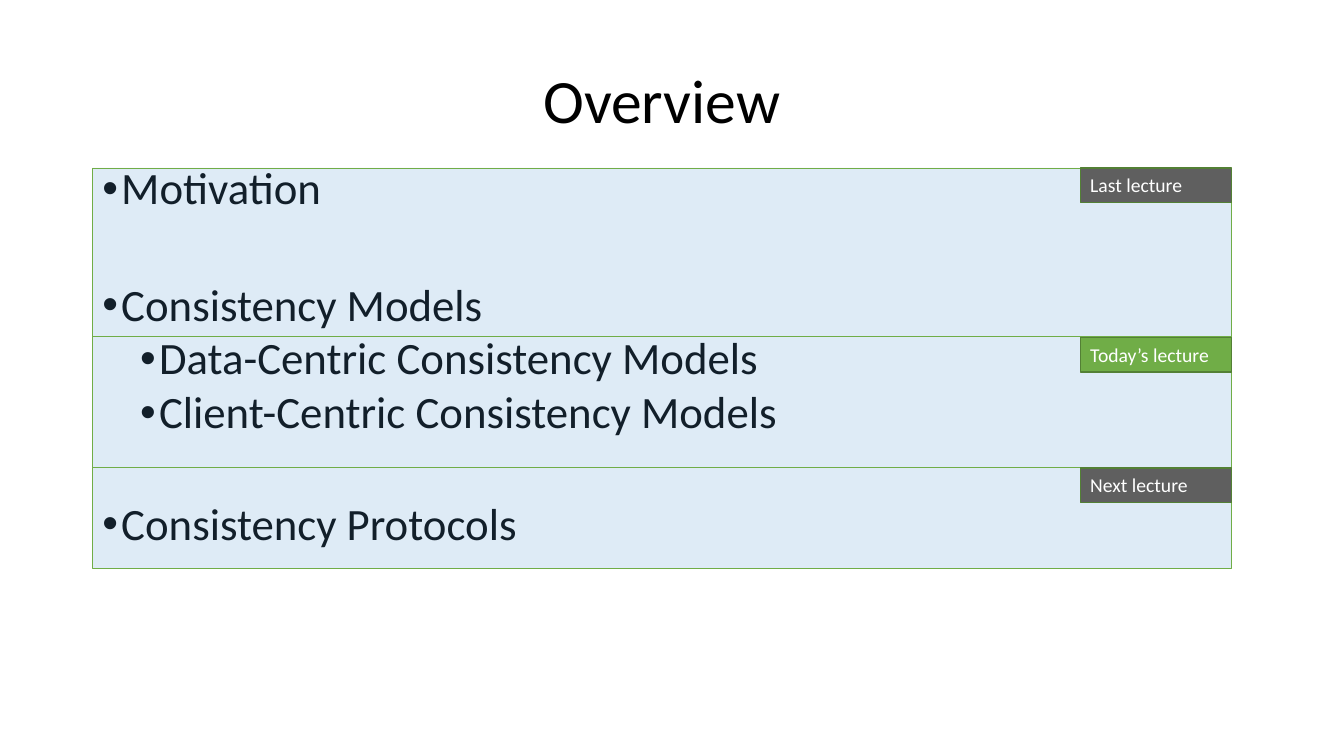
import pptx
import pptx.dml.color
import pptx.enum.shapes
import pptx.enum.text
import pptx.oxml
import pptx.oxml.ns
import pptx.util

RGB = pptx.dml.color.RGBColor
BLACK = RGB(0x00, 0x00, 0x00)
WHITE = RGB(0xFF, 0xFF, 0xFF)
BLUE = RGB(0x5B, 0x9B, 0xD5)
GREEN = RGB(0x70, 0xAD, 0x47)
DARK_GREEN = RGB(0x53, 0x80, 0x35)
GRAY = RGB(0x5F, 0x5F, 0x5F)

COLUMNS, ROWS = 160, 90
LEFT, WIDTH = 11, 135.6
TAG_LEFT, TAG_WIDTH, TAG_HEIGHT = 128.6, 18, 4.1
ALIGN = pptx.enum.text.PP_ALIGN
ANCHOR = pptx.enum.text.MSO_ANCHOR

TOPICS = [
    ("Motivation", 0, 7.5),
    ("Consistency Models", 0, 48.5),
    ("Data-Centric Consistency Models", 1, 3.8),
    ("Client-Centric Consistency Models", 1, 3.8),
    ("Consistency Protocols", 0, 45),
]
LECTURES = [
    ("Last lecture", 20, 20, 20, GRAY),
    ("Today’s lecture", 40, 15.7, 40.2, GREEN),
    ("Next lecture", 55.7, 12, 55.7, GRAY),
]


def apply(target, values):
    for name, value in values.items():
        setattr(target, name, value)


class OverviewSlide:
    """Draws styled elements on a slide divided into a grid of columns and rows."""

    font = "Calibri"

    def __init__(self, deck):
        self.column = deck.slide_width / COLUMNS
        self.row = deck.slide_height / ROWS
        self.slide = deck.slides.add_slide(deck.slide_layouts[6])

    def place(self, left, top, width, height):
        return [int(left * self.column), int(top * self.row),
                int(width * self.column), int(height * self.row)]

    def wording(self, paragraph, text, size, color, **layout):
        run = paragraph.add_run()
        run.text = text
        apply(run.font, {"name": self.font, "size": pptx.util.Pt(size)})
        run.font.color.rgb = color
        apply(paragraph, layout)

    def frame(self, top, height, anchor):
        box = self.slide.shapes.add_textbox(*self.place(LEFT, top, WIDTH, height))
        apply(box.text_frame, {"word_wrap": True, "vertical_anchor": anchor})
        return box.text_frame

    def title(self, text):
        heading = self.frame(3.6, 17.4, ANCHOR.MIDDLE)
        self.wording(heading.paragraphs[0], text, 44, BLACK,
                     alignment=ALIGN.CENTER, line_spacing=0.9)

    def outline(self, topics):
        body = self.frame(19.2, 66, ANCHOR.TOP)
        for index, (topic, level, gap) in enumerate(topics):
            paragraph = body.add_paragraph() if index else body.paragraphs[0]
            self.wording(paragraph, topic, 32, BLACK, level=level,
                         line_spacing=0.9, space_before=pptx.util.Pt(gap))
            properties = paragraph._p.get_or_add_pPr()
            indent = pptx.util.Pt(13.5)
            properties.set("marL", str(indent + level * 2 * indent))
            properties.set("indent", str(-indent))
            namespace = pptx.oxml.ns.nsdecls("a")
            for bullet in ('buFont %s typeface="Arial"', 'buChar %s char="•"'):
                properties.append(pptx.oxml.parse_xml(f"<a:{bullet % namespace}/>"))

    def rectangle(self, place, fill, line, weight):
        shape = self.slide.shapes.add_shape(
            pptx.enum.shapes.MSO_SHAPE.RECTANGLE, *self.place(*place))
        shape.shadow.inherit = False
        shape.fill.solid()
        shape.fill.fore_color.rgb = fill
        shape.line.color.rgb = line
        shape.line.width = pptx.util.Pt(weight)
        return shape

    def band(self, top, height):
        shape = self.rectangle((LEFT, top, WIDTH, height), BLUE, GREEN, 0.5)
        color = shape.fill._xPr.find(".//" + pptx.oxml.ns.qn("a:srgbClr"))
        color.append(pptx.oxml.parse_xml(
            f'<a:alpha {pptx.oxml.ns.nsdecls("a")} val="20000"/>'))

    def tag(self, text, top, fill):
        shape = self.rectangle((TAG_LEFT, top, TAG_WIDTH, TAG_HEIGHT),
                               fill, DARK_GREEN, 1)
        apply(shape.text_frame, {
            "word_wrap": True,
            "vertical_anchor": ANCHOR.TOP,
            "auto_size": pptx.enum.text.MSO_AUTO_SIZE.SHAPE_TO_FIT_TEXT,
        })
        self.wording(shape.text_frame.paragraphs[0], text, 14, WHITE,
                     alignment=ALIGN.LEFT)


def main():
    deck = pptx.Presentation()
    apply(deck, {"slide_width": pptx.util.Inches(13.33),
                 "slide_height": pptx.util.Inches(7.5)})
    overview = OverviewSlide(deck)
    overview.title("Overview")
    overview.outline(TOPICS)
    for _, top, height, _, _ in LECTURES:
        overview.band(top, height)
    for label, _, _, tag_top, fill in LECTURES:
        overview.tag(label, tag_top, fill)
    deck.save("out.pptx")


if __name__ == "__main__":
    main()
